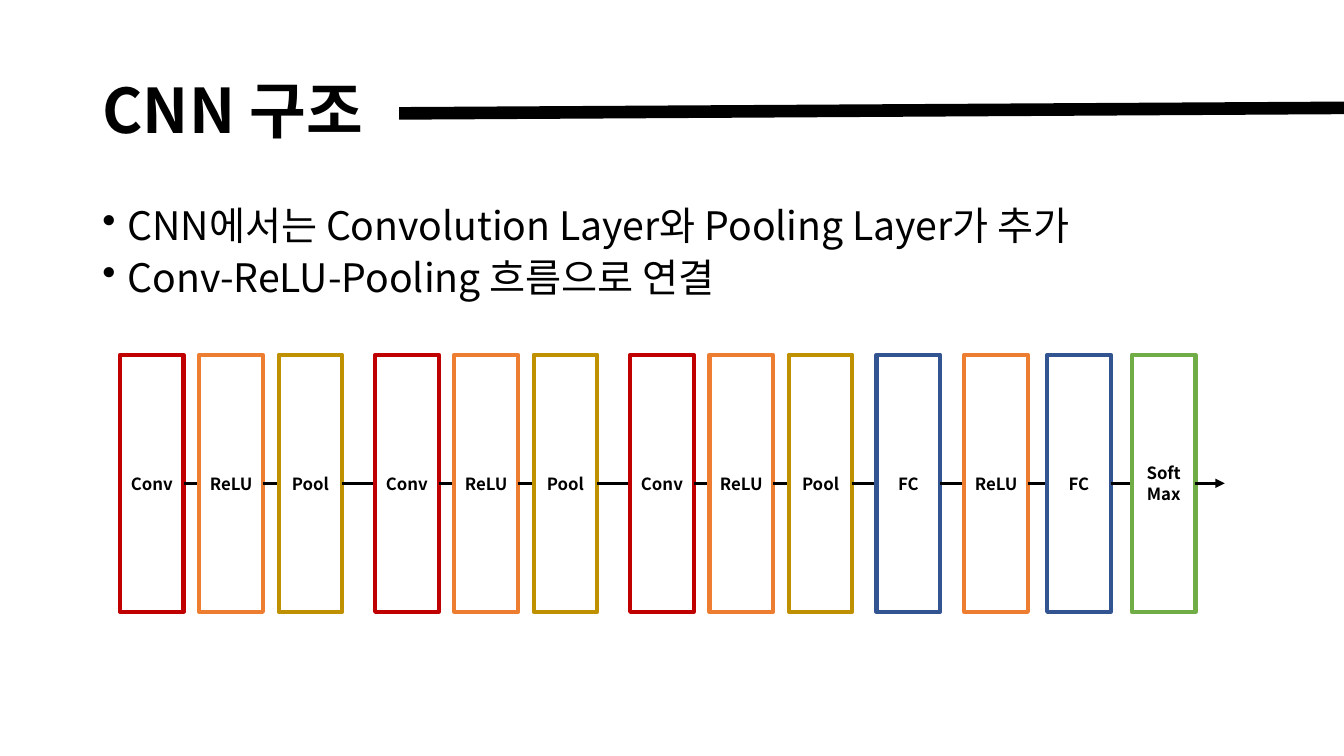
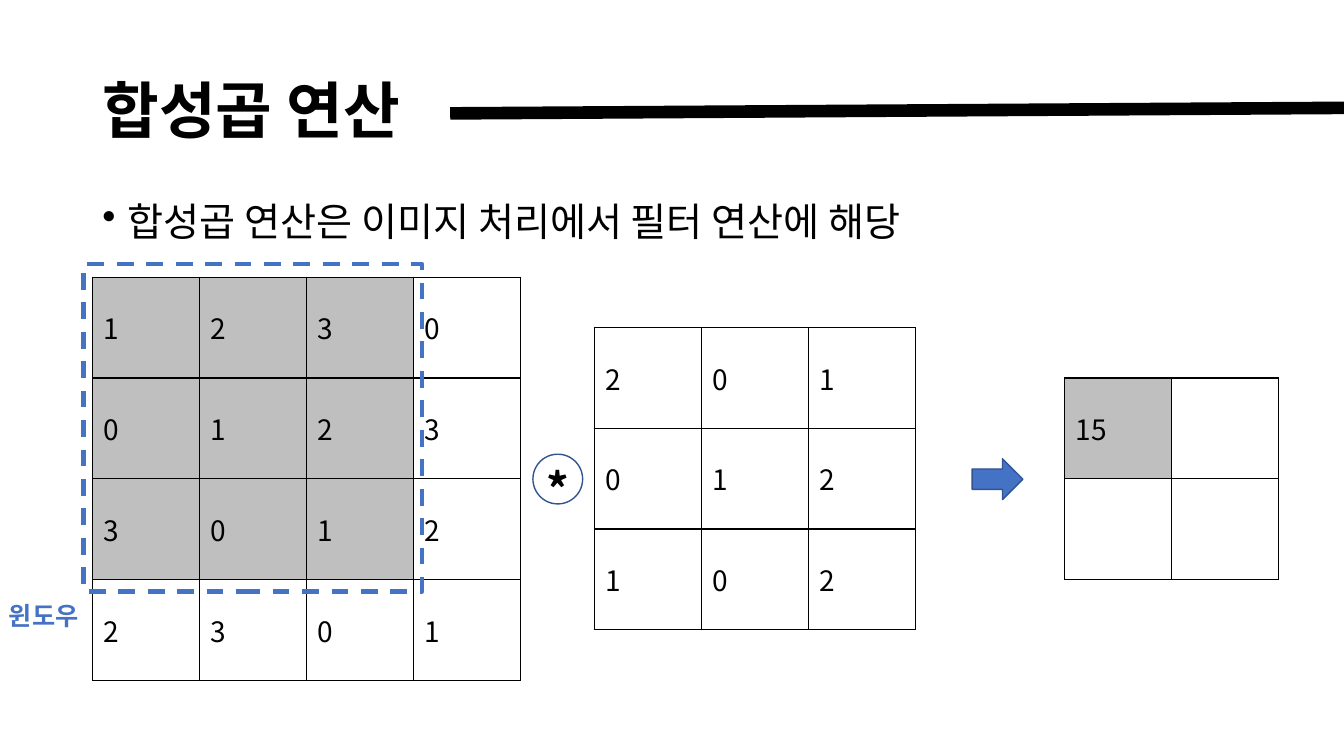
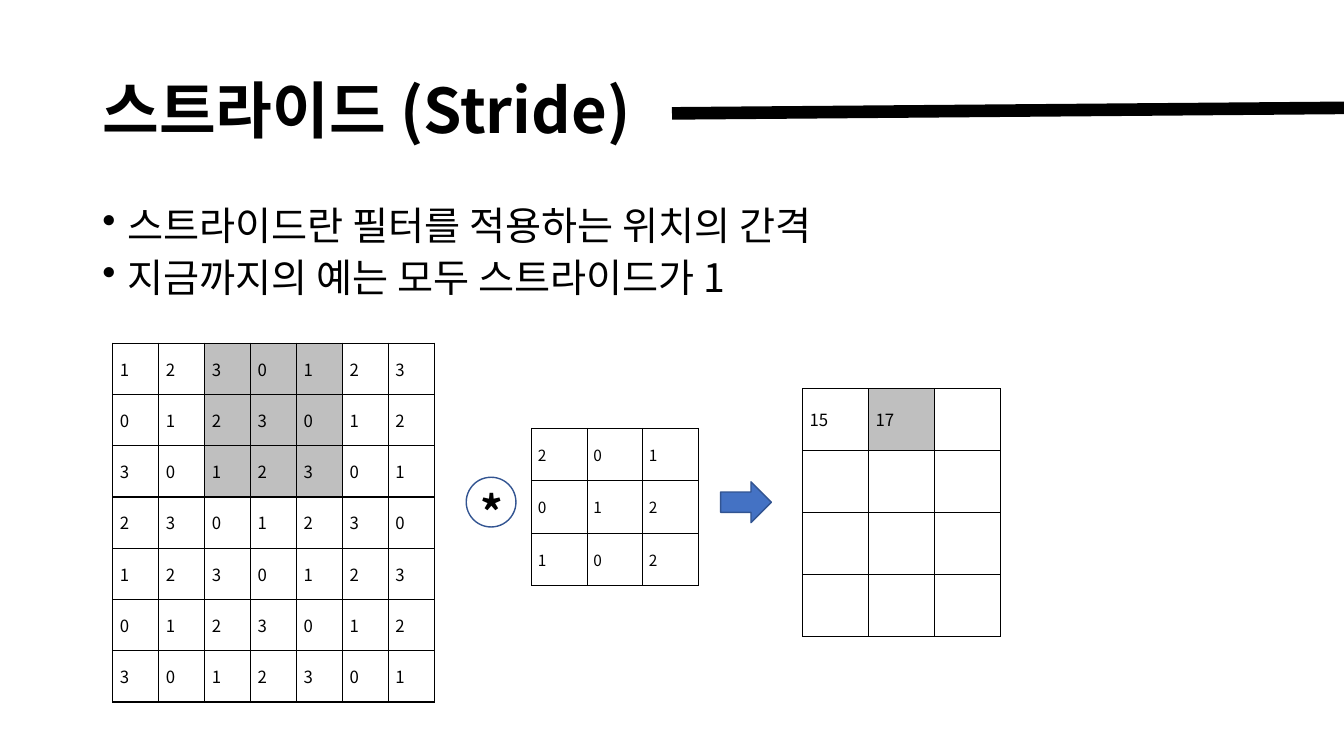
from dataclasses import dataclass
from typing import Callable, Optional

from lxml.etree import SubElement
from pptx import Presentation
from pptx.dml.color import RGBColor
from pptx.enum.dml import MSO_LINE
from pptx.enum.shapes import MSO_CONNECTOR, MSO_SHAPE as SHAPE
from pptx.enum.text import MSO_ANCHOR as ANCHOR, MSO_AUTO_SIZE as AUTO, PP_ALIGN as ALIGN
from pptx.oxml.ns import qn
from pptx.util import Emu, Inches, Pt

FONT = "Noto Sans CJK KR"
BLACK = RGBColor(0x00, 0x00, 0x00)
GRAY = RGBColor(0xBF, 0xBF, 0xBF)
RED = RGBColor(0xC0, 0x00, 0x00)
ORANGE = RGBColor(0xED, 0x7D, 0x31)
GOLD = RGBColor(0xBF, 0x90, 0x00)
GREEN = RGBColor(0x70, 0xAD, 0x47)
BLUE = RGBColor(0x44, 0x72, 0xC4)
NAVY = RGBColor(0x32, 0x54, 0x91)

SLIDE_W, SLIDE_H = Inches(13.33), Inches(7.5)
MARGIN = 6.88  # all positions are percentages of the slide's size


def x(percent: float) -> Emu:
    return Emu(round(SLIDE_W * percent / 100))


def y(percent: float) -> Emu:
    return Emu(round(SLIDE_H * percent / 100))


def box(left: float, top: float, width: float, height: float) -> tuple:
    return x(left), y(top), x(width), y(height)


@dataclass(frozen=True)
class Layer:
    label: str
    color: RGBColor
    gap: float  # distance to the previous layer


@dataclass(frozen=True)
class Matrix:
    left: float
    top: float
    col_w: float
    row_h: float
    values: list
    size: int
    inset: tuple = (0.07, 0.03)
    shaded: Optional[Callable[[int, int], bool]] = None


CONV_BLOCK = [Layer("Conv", RED, 2.45), Layer("ReLU", ORANGE, 1.17), Layer("Pool", GOLD, 1.17)]
LAYERS = CONV_BLOCK * 3 + [
    Layer("FC", NAVY, 1.8),
    Layer("ReLU", ORANGE, 1.8),
    Layer("FC", NAVY, 1.43),
    Layer("Soft\nMax", GREEN, 1.58),
]
LAYER_LEFT, LAYER_TOP, LAYER_W, LAYER_H = 8.93, 46.93, 4.73, 34
OUTPUT_ARROW = 2.18

KERNEL = [[2, 0, 1], [0, 1, 2], [1, 0, 2]]


def cyclic_input(n: int) -> list:
    """Square input whose rows count 0-3 and shift right by one each row."""
    return [[(1 - r + c) % 4 for c in range(n)] for r in range(n)]


def style(p, size: float, color: RGBColor = BLACK, bold: bool = False) -> None:
    p.font.name, p.font.size, p.font.bold = FONT, Pt(size), bold
    p.font.color.rgb = color
    SubElement(p._p.pPr.find(qn("a:defRPr")), qn("a:ea"), typeface=FONT)


def add_line(slide, start: tuple, end: tuple, width: float, arrow: bool = False) -> None:
    c = slide.shapes.add_connector(
        MSO_CONNECTOR.STRAIGHT, x(start[0]), y(start[1]), x(end[0]), y(end[1]))
    c.line.color.rgb, c.line.width = BLACK, Pt(width)
    sp_pr = c._element.spPr
    if arrow:
        SubElement(sp_pr.find(qn("a:ln")), qn("a:tailEnd"), type="triangle")
    SubElement(sp_pr, qn("a:effectLst"))


def add_outline(slide, kind: SHAPE, area: tuple, color: RGBColor, width: float,
                fill: Optional[RGBColor] = None):
    sp = slide.shapes.add_shape(kind, *box(*area))
    sp.shadow.inherit = False
    sp.line.color.rgb, sp.line.width = color, Pt(width)
    if fill is None:
        sp.fill.background()
    else:
        sp.fill.solid()
        sp.fill.fore_color.rgb = fill
    return sp


def add_label(slide, text: str, area: tuple, size: float, color: RGBColor = BLACK) -> None:
    tf = slide.shapes.add_textbox(*box(*area)).text_frame
    tf.word_wrap, tf.auto_size = False, AUTO.SHAPE_TO_FIT_TEXT
    tf.text = text
    style(tf.paragraphs[0], size, color, bold=True)


def add_bullets(slide, lines: list, spacing: float) -> None:
    tf = slide.shapes.add_textbox(*box(MARGIN, 26.67, 86.25, 27.47)).text_frame
    tf.word_wrap = True
    tf.text = "\n".join(lines)
    for p in tf.paragraphs:
        p.line_spacing, p.space_before = spacing, Pt(7)
        style(p, 28)
        p_pr = p._p.pPr
        p_pr.set("marL", str(Inches(0.25)))
        p_pr.set("indent", str(-Inches(0.25)))
        bullet = SubElement(p_pr, qn("a:buChar"), char="•")
        p_pr.find(qn("a:defRPr")).addprevious(bullet)


def add_content_slide(prs, title: str, rule_left: float, bullets: list, spacing: float = 0.9):
    """Title with the slanted rule to its right, and the bullets below."""
    slide = prs.slides.add_slide(prs.slide_layouts[5])
    sp = slide.shapes.title
    sp.left, sp.top, sp.width, sp.height = box(MARGIN, 5.33, rule_left - MARGIN, 19.33)
    tf = sp.text_frame
    tf.text = title
    tf.word_wrap, tf.auto_size, tf.vertical_anchor = True, AUTO.NONE, ANCHOR.MIDDLE
    p = tf.paragraphs[0]
    p.alignment, p.line_spacing = ALIGN.LEFT, 0.9
    style(p, 44, bold=True)
    add_line(slide, (rule_left, 15), (100, 14.27), 9)
    add_bullets(slide, bullets, spacing)
    return slide


def add_borders(cell) -> None:
    tc_pr = cell._tc.get_or_add_tcPr()
    for side in ("lnL", "lnR", "lnT", "lnB"):
        ln = SubElement(tc_pr, qn(f"a:{side}"), w=str(Pt(1)))
        SubElement(SubElement(ln, qn("a:solidFill")), qn("a:srgbClr"), val=str(BLACK))


def add_matrix(slide, m: Matrix) -> None:
    rows, cols = len(m.values), len(m.values[0])
    area = box(m.left, m.top, m.col_w * cols, m.row_h * rows)
    table = slide.shapes.add_table(rows, cols, *area).table
    table.first_row = table.horz_banding = False
    for col in table.columns:
        col.width = x(m.col_w)
    for row in table.rows:
        row.height = y(m.row_h)
    for r, values in enumerate(m.values):
        for c, value in enumerate(values):
            cell = table.cell(r, c)
            add_borders(cell)
            if m.shaded and m.shaded(r, c):
                cell.fill.solid()
                cell.fill.fore_color.rgb = GRAY
            else:
                cell.fill.background()
            cell.vertical_anchor = ANCHOR.MIDDLE
            cell.margin_left = cell.margin_right = Inches(m.inset[0])
            cell.margin_top = cell.margin_bottom = Inches(m.inset[1])
            cell.text = str(value)
            style(cell.text_frame.paragraphs[0], m.size)


def add_operators(slide, sign_left: float, arrow_left: float, top: float) -> None:
    """Circled convolution sign and the arrow towards the result."""
    add_outline(slide, SHAPE.OVAL, (sign_left, top, 3.7, 6.58), NAVY, 1)
    add_label(slide, "*", (sign_left + 0.3, top + 0.35, 3.05, 8.5), 32)
    add_outline(slide, SHAPE.RIGHT_ARROW, (arrow_left, top + 0.6, 3.78, 5.4), NAVY, 1, BLUE)


def add_layer(slide, layer: Layer, left: float) -> None:
    sp = add_outline(slide, SHAPE.RECTANGLE, (left, LAYER_TOP, LAYER_W, LAYER_H), layer.color, 3)
    tf = sp.text_frame
    tf.margin_left = tf.margin_right = 0
    tf.vertical_anchor = ANCHOR.MIDDLE
    tf.text = layer.label
    for p in tf.paragraphs:
        p.alignment = ALIGN.CENTER
        style(p, 12, bold=True)


def build_structure(prs) -> None:
    slide = add_content_slide(prs, "CNN 구조", 29.7, [
        "CNN에서는 Convolution Layer와 Pooling Layer가 추가",
        "Conv-ReLU-Pooling 흐름으로 연결",
    ])
    middle = LAYER_TOP + LAYER_H / 2
    right = LAYER_LEFT - LAYERS[0].gap
    for i, layer in enumerate(LAYERS):
        left = right + layer.gap
        if i:
            add_line(slide, (right, middle), (left, middle), 2.25)
        add_layer(slide, layer, left)
        right = left + LAYER_W
    add_line(slide, (right, middle), (right + OUTPUT_ARROW, middle), 2.25, arrow=True)


def build_convolution(prs) -> None:
    slide = add_content_slide(
        prs, "합성곱 연산", 33.5, ["합성곱 연산은 이미지 처리에서 필터 연산에 해당"], spacing=0.8)
    col_w, row_h, size, inset = 7.97, 13.33, 20, (0.11, 0.06)
    add_matrix(slide, Matrix(MARGIN, 36.67, col_w, row_h, cyclic_input(4), size, inset,
                             lambda r, c: r < 3 and c < 3))
    add_matrix(slide, Matrix(44.22, 43.33, col_w, row_h, KERNEL, size, inset))
    add_matrix(slide, Matrix(79.2, 50, col_w, row_h, [[15, ""], ["", ""]], size, inset,
                             lambda r, c: r == c == 0))
    add_operators(slide, 39.65, 72.33, 60.08)
    window = add_outline(slide, SHAPE.RECTANGLE, (6.22, 34.93, 25.2, 43.33), BLUE, 3)
    window.line.dash_style = MSO_LINE.DASH
    add_label(slide, "윈도우", (-0.08, 78.8, 7.2, 5.33), 18, BLUE)


def build_stride(prs) -> None:
    slide = add_content_slide(prs, "스트라이드 (Stride)", 50, [
        "스트라이드란 필터를 적용하는 위치의 간격",
        "지금까지의 예는 모두 스트라이드가 1",
    ])
    add_matrix(slide, Matrix(8.4, 45.41, 3.42, 6.78, cyclic_input(7), 12,
                             shaded=lambda r, c: r < 3 and 2 <= c < 5))
    add_matrix(slide, Matrix(39.57, 56.67, 4.13, 6.93, KERNEL, 11, (0.06, 0.03)))
    add_operators(slide, 34.69, 53.62, 63.13)
    add_matrix(slide, Matrix(59.72, 51.4, 4.9, 8.2, [[15, 17, ""]] + [[""] * 3] * 3, 12,
                             shaded=lambda r, c: (r, c) == (0, 1)))


def main() -> None:
    prs = Presentation()
    prs.slide_width, prs.slide_height = SLIDE_W, SLIDE_H
    build_structure(prs)
    build_convolution(prs)
    build_stride(prs)
    prs.save("out.pptx")


if __name__ == "__main__":
    main()
